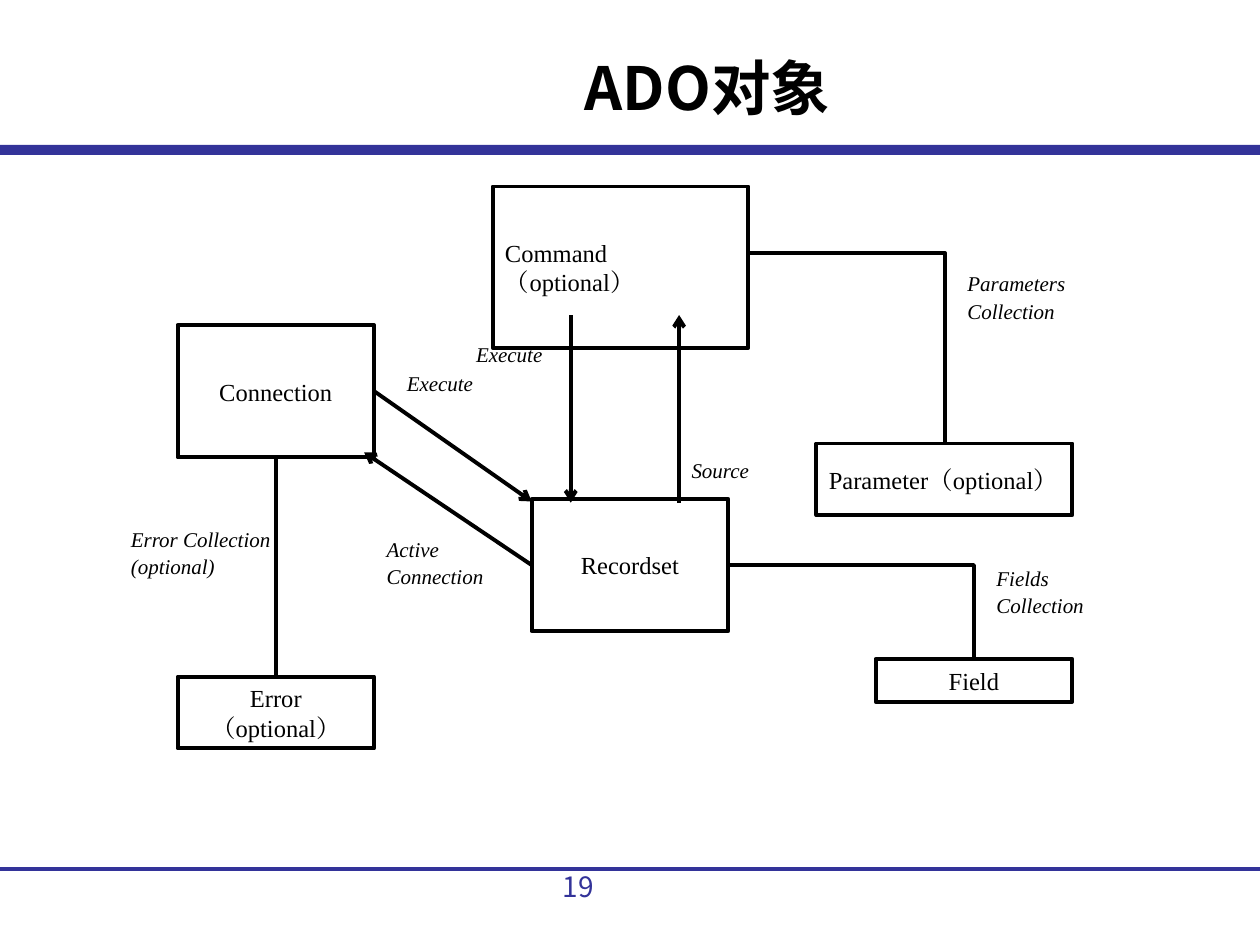
from pptx import Presentation
from pptx.dml.color import RGBColor
from pptx.enum.shapes import MSO_CONNECTOR, MSO_SHAPE
from pptx.enum.text import MSO_ANCHOR, PP_ALIGN
from pptx.oxml.ns import qn
from pptx.util import Inches, Pt
from lxml.etree import SubElement

COLORS = {"ink": "000000", "accent": "333399"}
SERIF, SANS = "Times New Roman", "Noto Sans CJK SC"
TOP, LEFT, BOTTOM, RIGHT = range(4)


def color(name):
    return RGBColor.from_string(COLORS[name])


def write(frame, lines, size, font, ink="ink", bold=False, italic=False,
          align=PP_ALIGN.LEFT, before=0, spacing=None):
    for index, line in enumerate(lines):
        paragraph = frame.paragraphs[0] if index == 0 else frame.add_paragraph()
        paragraph.alignment = align
        paragraph.space_before = Pt(before)
        if spacing:
            paragraph.line_spacing = Pt(spacing)
        run = paragraph.add_run()
        run.text = line
        paragraph.font.size = run.font.size = Pt(size)
        paragraph.font.name = run.font.name = font
        run.font.bold, run.font.italic = bold, italic
        run.font.color.rgb = color(ink)
        # East Asian characters take their own typeface
        SubElement(run.font._element, qn("a:ea")).set("typeface", font)


def add_text(slide, left, top, width, height):
    frame = slide.shapes.add_textbox(
        Inches(left), Inches(top), Inches(width), Inches(height)).text_frame
    frame.word_wrap = True
    return frame


def add_line(slide, start, end, ink="ink", elbow=False, arrow=False):
    kind = MSO_CONNECTOR.ELBOW if elbow else MSO_CONNECTOR.STRAIGHT
    line = slide.shapes.add_connector(kind, *map(Inches, start + end))
    line.line.color.rgb = color(ink)
    line.line.width = Pt(2.25)
    properties = line._element.spPr
    if elbow:  # a single right-angle turn
        properties.find(qn("a:prstGeom")).set("prst", "bentConnector2")
    if arrow:
        SubElement(line.line._get_or_add_ln(), qn("a:tailEnd")).set("type", "arrow")
    SubElement(properties, qn("a:effectLst"))
    return line


def add_header(slide, left, top, width, height):
    # Title
    frame = add_text(slide, left + 1.85, top + 0.3, 7.53, 0.77)
    frame.vertical_anchor = MSO_ANCHOR.MIDDLE
    write(frame, ["ADO对象"], 34, SANS, bold=True, align=PP_ALIGN.CENTER)
    # Rule along the lower edge
    rule = slide.shapes.add_shape(
        MSO_SHAPE.RECTANGLE, Inches(left), Inches(top + height - 0.08),
        Inches(width), Inches(0.08))
    rule.shadow.inherit = False
    rule.fill.solid()
    rule.fill.fore_color.rgb = color("accent")
    rule.line.fill.background()


def add_footer(slide, left, top, width):
    add_line(slide, (left, top), (left + width, top), "accent")
    page_number = add_text(slide, left + 4.37, top - 0.05, 1.1, 0.52)
    write(page_number, ["19"], 16, SANS, "accent")


def add_object(slide, left, top, width, height, name, align):
    box = slide.shapes.add_shape(
        MSO_SHAPE.RECTANGLE, Inches(left), Inches(top), Inches(width), Inches(height))
    box.shadow.inherit = False
    box.fill.background()
    box.line.color.rgb = color("ink")
    box.line.width = Pt(2.25)
    box.text_frame.word_wrap = True
    box.text_frame.vertical_anchor = MSO_ANCHOR.MIDDLE
    write(box.text_frame, [name], 14, SERIF, align=align)
    return box


def add_diagram(slide, left, top):
    # Objects: offset and size within the diagram
    centre = PP_ALIGN.CENTER
    objects = {
        name: add_object(slide, left + x, top + y, w, h, name + suffix, align)
        for name, suffix, x, y, w, h, align in [
            ("Command", "（optional）", 2.97, 0, 2.03, 1.28, PP_ALIGN.LEFT),
            ("Parameter", "（optional）", 5.54, 2.04, 2.03, 0.57, PP_ALIGN.LEFT),
            ("Recordset", "", 3.28, 2.48, 1.56, 1.05, centre),
            ("Field", "", 6.01, 3.75, 1.56, 0.34, centre),
            ("Connection", "", 0.47, 1.1, 1.56, 1.05, centre),
            ("Error", "（optional）", 0.47, 3.89, 1.56, 0.57, centre),
        ]
    }

    # Links: start, end, elbow, arrow, joined side at start and at end
    links = [
        ((3.59, 1.02), (3.59, 2.51), False, True, None, None),
        ((4.45, 2.51), (4.45, 1.02), False, True, None, None),
        ((2.03, 1.62), (3.28, 2.5), False, True, ("Connection", RIGHT), None),
        ((3.28, 3), (1.95, 2.11), False, True, ("Recordset", LEFT), None),
        ((1.25, 2.15), (1.25, 3.89), False, False,
         ("Connection", BOTTOM), ("Error", TOP)),
        ((4.84, 3), (6.79, 3.75), True, False, ("Recordset", RIGHT), ("Field", TOP)),
        ((5, 0.53), (6.56, 2.04), True, False, None, None),
    ]
    for (x1, y1), (x2, y2), elbow, arrow, begin, end in links:
        link = add_line(slide, (left + x1, top + y1), (left + x2, top + y2),
                        elbow=elbow, arrow=arrow)
        if begin:
            link.begin_connect(objects[begin[0]], begin[1])
        if end:
            link.end_connect(objects[end[0]], end[1])

    # Link labels: offset, size, exact line spacing
    labels = [
        (["Parameters", "Collection"], 6.64, 0.71, 1.1, 0.43, 8),
        (["Execute"], 2.74, 1.18, 0.85, 0.3, None),
        (["Execute"], 2.19, 1.41, 0.85, 0.3, None),
        (["Active", "Connection"], 2.03, 2.82, 1.21, 0.43, 8),
        (["Error Collection", "(optional)"], 0, 2.74, 1.41, 0.43, 8),
        (["Source"], 4.45, 2.19, 0.86, 0.21, 8),
        (["Fields", "Collection"], 6.87, 3.05, 1.02, 0.43, 8),
    ]
    for lines, x, y, w, h, spacing in labels:
        write(add_text(slide, left + x, top + y, w, h), lines, 12, SERIF,
              italic=True, before=7.5, spacing=spacing)


def main():
    deck = Presentation()
    deck.slide_width, deck.slide_height = Inches(10), Inches(7.5)
    slide = deck.slides.add_slide(deck.slide_layouts[6])
    add_header(slide, 0, 0, 10, 1.23)
    add_footer(slide, 0, 6.9, 10)
    add_diagram(slide, 0.94, 1.48)
    deck.save("out.pptx")


if __name__ == "__main__":
    main()
